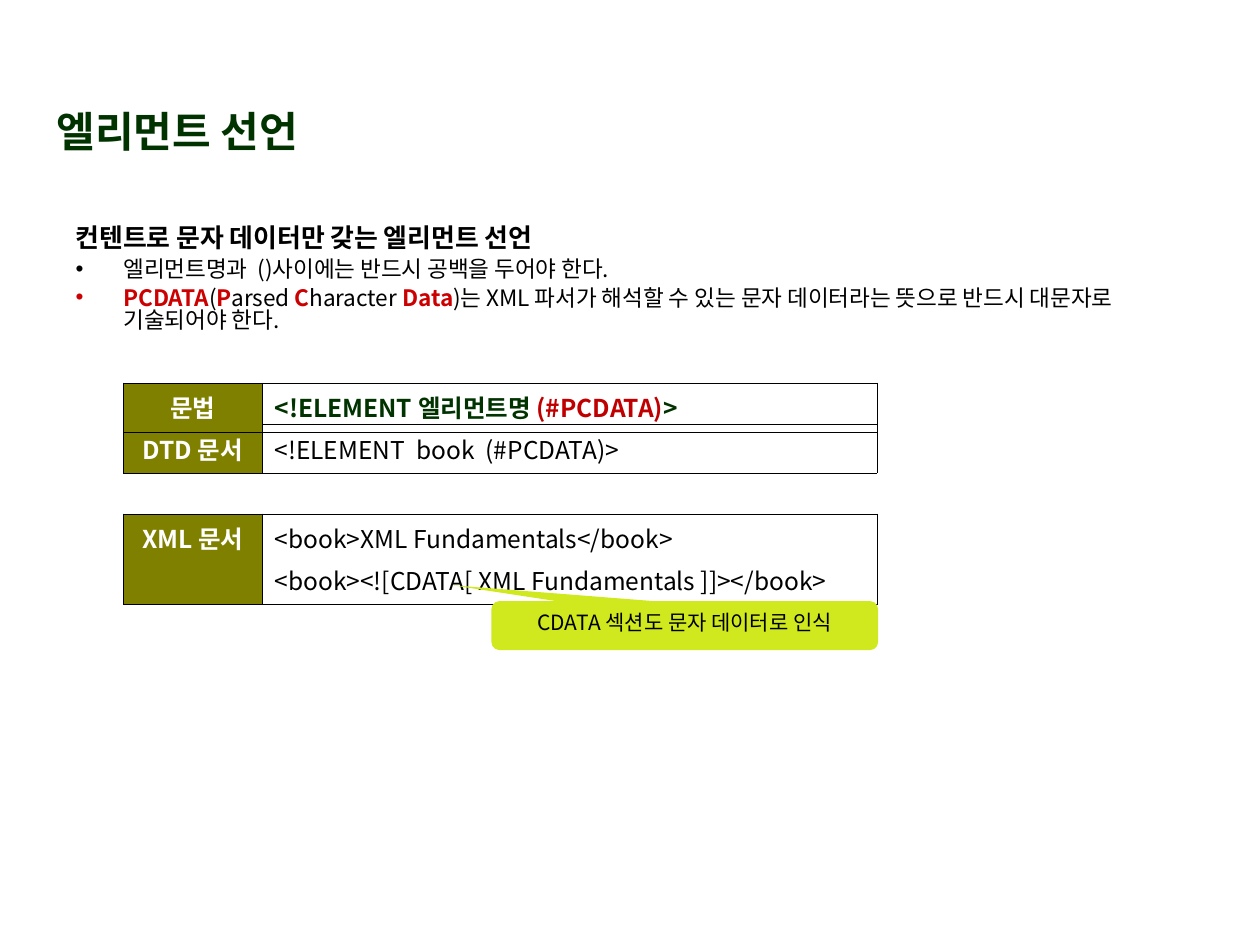
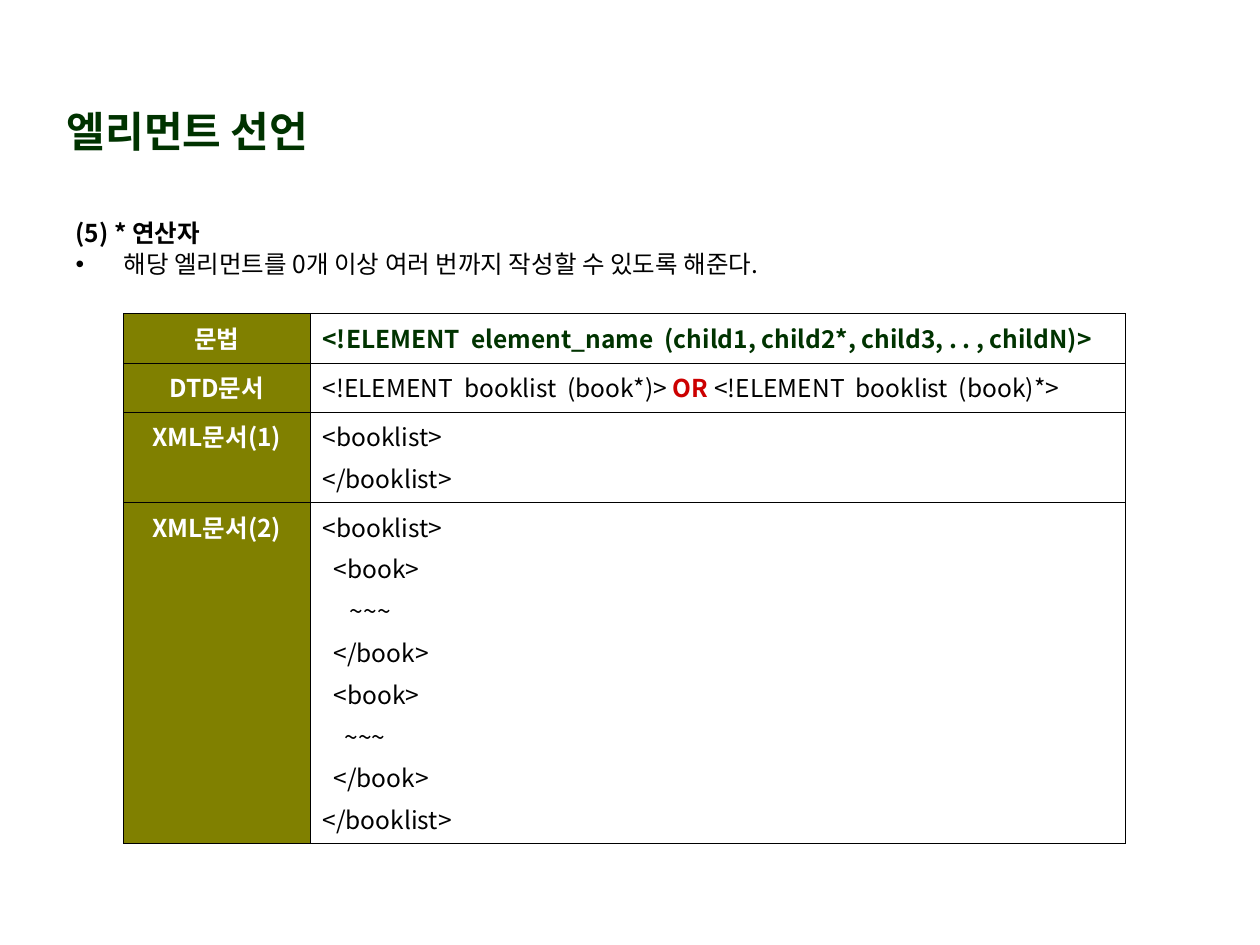
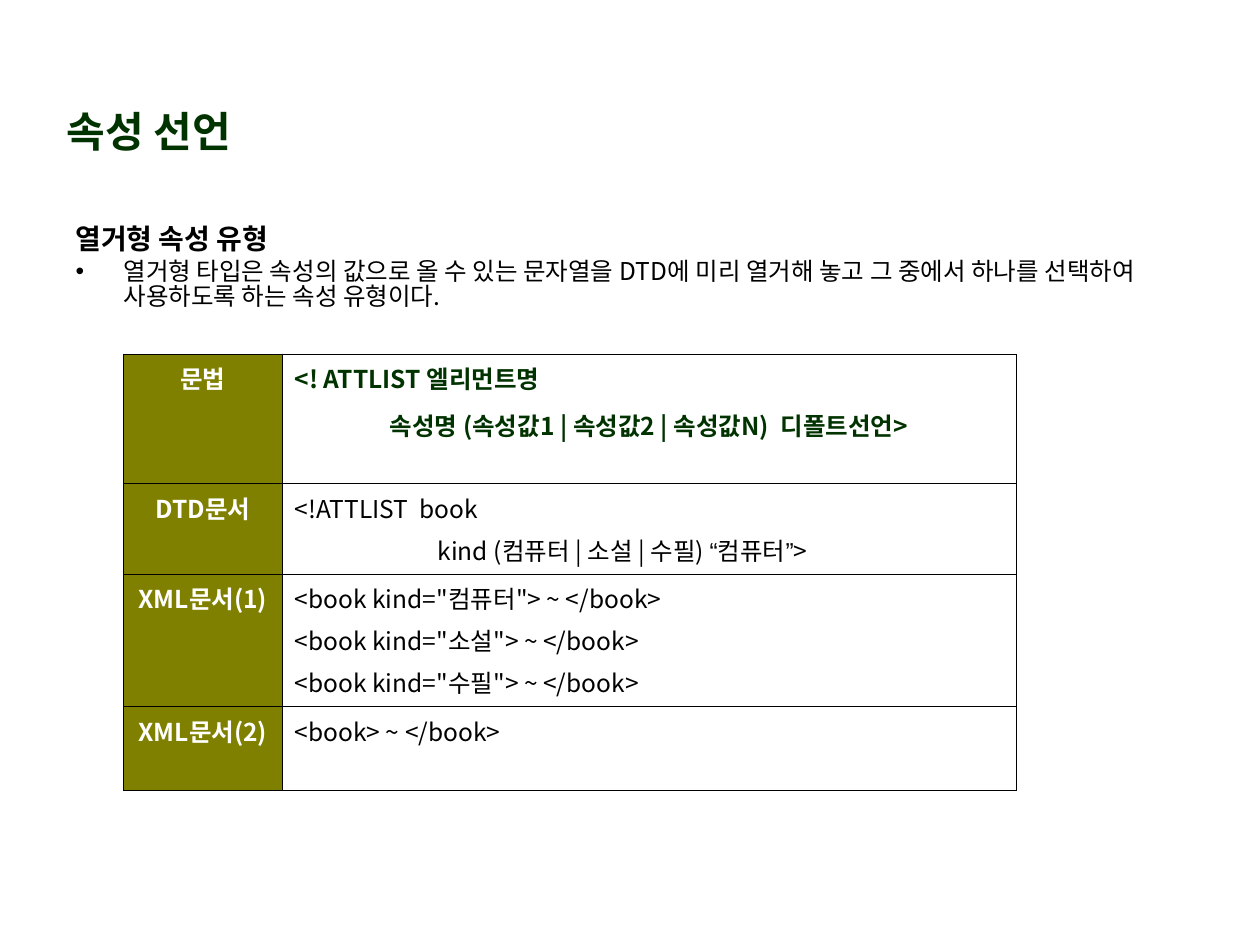
import pptx
import pptx.util
import pptx.dml.color
import pptx.enum.shapes
import pptx.enum.text
import pptx.oxml.ns
from lxml import etree

Inches = pptx.util.Inches
Pt = pptx.util.Pt
ALIGN = pptx.enum.text.PP_ALIGN
ANCHOR = pptx.enum.text.MSO_ANCHOR

FONT = "Noto Sans CJK KR"
GREEN, OLIVE, LIME = "003300", "808000", "D0E81E"
BLACK, WHITE, RED, DARK_RED = "000000", "FFFFFF", "CC0000", "C00000"

PLAIN = (BLACK, False, FONT)
QUOTE = (BLACK, False, "Arial")
HEADING = (BLACK, True, FONT)
KEYWORD = (RED, True, FONT)
GRAMMAR = (GREEN, True, FONT)
CONTENT_TYPE = (DARK_RED, True, FONT)
LABEL = (WHITE, True, FONT)

TABLE_LEFT = 0.98
BODY_LEFT, BODY_WIDTH = 0.5, 8.99
TEXT_SIZE = 14
LINE_GAP = 3.5
LINE_SPACING = 0.84
INDENT = 0.38

SLIDES = [
    {
        "title": "엘리먼트 선언",
        "title_left": 0.35,
        "body": {
            "top": 1.75, "height": 1.13, "heading_size": 14.8, "bullet_size": 12.9,
            "heading": "컨텐트로 문자 데이터만 갖는 엘리먼트 선언",
            "bullets": [
                [("엘리먼트명과  ()사이에는 반드시 공백을 두어야 한다.", PLAIN)],
                [("PCDATA", KEYWORD), ("(", PLAIN), ("P", KEYWORD), ("arsed ", PLAIN),
                 ("C", KEYWORD), ("haracter ", PLAIN), ("Data", KEYWORD),
                 (")는 XML 파서가 해석할 수 있는 문자 데이터라는 뜻으로 반드시 대문자로 기술되어야 한다.", PLAIN)],
            ],
        },
        "tables": [
            {"top": 3.37, "columns": (1.1, 4.88), "rows": [
                ("DTD 문서", 0.37, LINE_GAP, [[("<!ELEMENT  book  (#PCDATA)>", PLAIN)]]),
            ]},
            {"top": 4.08, "columns": (1.1, 4.88), "rows": [
                ("XML 문서", 0.68, LINE_GAP, [
                    [("<book>XML Fundamentals</book>", PLAIN)],
                    [("<book><![CDATA[ XML Fundamentals ]]></book>", PLAIN)],
                ]),
            ]},
            {"top": 3.04, "columns": (1.1, 4.88), "rows": [
                ("문법", 0.39, LINE_GAP, [
                    [("<!ELEMENT 엘리먼트명 ", GRAMMAR), ("(#PCDATA)", CONTENT_TYPE), (">", GRAMMAR)],
                ]),
            ]},
        ],
        "callout": "CDATA 섹션도 문자 데이터로 인식",
    },
    {
        "title": "엘리먼트 선언",
        "title_left": 0.43,
        "body": {
            "top": 1.72, "height": 0.63, "heading_size": 14, "bullet_size": 14,
            "heading": "(5) * 연산자",
            "bullets": [[("해당 엘리먼트를 0개 이상 여러 번까지 작성할 수 있도록 해준다.", PLAIN)]],
        },
        "tables": [
            {"top": 2.49, "columns": (1.48, 6.47), "rows": [
                ("문법", 0.39, LINE_GAP, [
                    [("<!ELEMENT  element_name  (child1, child2*, child3, . . , childN)>", GRAMMAR)],
                ]),
                ("DTD문서", 0.39, LINE_GAP, [
                    [("<!ELEMENT  booklist  (book*)> ", PLAIN), ("OR", KEYWORD),
                     (" <!ELEMENT  booklist  (book)*>", PLAIN)],
                ]),
                ("XML문서(1)", 0.7, LINE_GAP, [[("<booklist>", PLAIN)], [("</booklist>", PLAIN)]]),
                ("XML문서(2)", 2.56, LINE_GAP, [
                    [("<booklist>", PLAIN)],
                    [("  <book>", PLAIN)],
                    [("     ~~~", PLAIN)],
                    [("  </book>", PLAIN)],
                    [("  <book>", PLAIN)],
                    [("    ~~~", PLAIN)],
                    [("  </book>", PLAIN)],
                    [("</booklist>", PLAIN)],
                ]),
            ]},
        ],
    },
    {
        "title": "속성 선언",
        "title_left": 0.43,
        "body": {
            "top": 1.75, "height": 0.9, "heading_size": 16, "bullet_size": 14,
            "heading": "열거형 속성 유형",
            "bullets": [[("열거형 타입은 속성의 값으로 올 수 있는 문자열을 DTD에 미리 열거해 놓고 "
                          "그 중에서 하나를 선택하여 사용하도록 하는 속성 유형이다.", PLAIN)]],
        },
        "tables": [
            {"top": 2.81, "columns": (1.26, 5.83), "rows": [
                ("문법", 1.03, 6, [
                    [("<! ATTLIST 엘리먼트명", GRAMMAR)],
                    [("                 속성명 (속성값1 | 속성값2 | 속성값N)  디폴트선언>", GRAMMAR)],
                ]),
                ("DTD문서", 0.7, LINE_GAP, [
                    [("<!ATTLIST  book", PLAIN)],
                    [("                          kind (컴퓨터 | 소설 | 수필) ", PLAIN),
                     ("“", QUOTE), ("컴퓨터", PLAIN), ("”", QUOTE), (">", PLAIN)],
                ]),
                ("XML문서(1)", 1.05, LINE_GAP, [
                    [('<book kind="컴퓨터"> ~ </book>', PLAIN)],
                    [('<book kind="소설"> ~ </book>', PLAIN)],
                    [('<book kind="수필"> ~ </book>', PLAIN)],
                ]),
                ("XML문서(2)", 0.65, LINE_GAP, [[("<book> ~ </book>", PLAIN)]]),
            ]},
        ],
    },
]


def color(value):
    return pptx.dml.color.RGBColor.from_string(value)


def add_element(parent, tag, **attributes):
    return etree.SubElement(parent, pptx.oxml.ns.qn(tag), attributes)


def paint(fill, value):
    fill.solid()
    fill.fore_color.rgb = color(value)


def place(shape, left, top, width, height):
    shape.left, shape.top = Inches(left), Inches(top)
    shape.width, shape.height = Inches(width), Inches(height)


def write_runs(paragraph, runs, size):
    for text, (text_color, bold, name) in runs:
        run = paragraph.add_run()
        run.text = text
        run.font.size = Pt(size)
        run.font.bold = bold
        run.font.color.rgb = color(text_color)
        run.font.name = name
        add_element(run.font._element, "a:ea", typeface=name)


def write_paragraphs(text_frame, lines, size, gap=LINE_GAP, alignment=ALIGN.LEFT):
    for index, runs in enumerate(lines):
        paragraph = text_frame.add_paragraph() if index else text_frame.paragraphs[0]
        paragraph.alignment = alignment
        paragraph.space_before = Pt(gap if index else 0)
        write_runs(paragraph, runs, size)


def set_bullet(paragraph, bullet_color=None):
    properties = paragraph._p.get_or_add_pPr()
    properties.set("marL", str(Inches(INDENT)))
    properties.set("indent", str(-Inches(INDENT)))
    if bullet_color:
        add_element(add_element(properties, "a:buClr"), "a:srgbClr", val=bullet_color)
        add_element(properties, "a:buFont", typeface="Arial")
        add_element(properties, "a:buChar", char="•")
    else:
        add_element(properties, "a:buNone")


def fill_title(slide, text, left):
    title = slide.shapes.title
    place(title, left, 0.76, 4.41, 0.55)
    title.text_frame.auto_size = pptx.enum.text.MSO_AUTO_SIZE.NONE
    title.text_frame.vertical_anchor = ANCHOR.MIDDLE
    write_paragraphs(title.text_frame, [[(text, GRAMMAR)]], 24)


def fill_body(slide, body):
    placeholder = slide.placeholders[1]
    place(placeholder, BODY_LEFT, body["top"], BODY_WIDTH, body["height"])
    text_frame = placeholder.text_frame
    text_frame.auto_size = pptx.enum.text.MSO_AUTO_SIZE.NONE
    lines = [[(body["heading"], HEADING)]] + body["bullets"]
    for index, runs in enumerate(lines):
        paragraph = text_frame.add_paragraph() if index else text_frame.paragraphs[0]
        set_bullet(paragraph, runs[0][1][0] if index else None)
        paragraph.space_before = Pt(LINE_GAP if index else 0)
        paragraph.line_spacing = LINE_SPACING
        write_runs(paragraph, runs, body["bullet_size"] if index else body["heading_size"])


def set_borders(cell):
    properties = cell._tc.get_or_add_tcPr()
    for side in ("L", "R", "T", "B"):
        line = add_element(properties, "a:ln" + side, w=str(Pt(0.45)))
        add_element(add_element(line, "a:solidFill"), "a:srgbClr", val=BLACK)


def add_code_table(slide, content):
    columns, rows = content["columns"], content["rows"]
    height = sum(row[1] for row in rows)
    table = slide.shapes.add_table(
        len(rows), len(columns), Inches(TABLE_LEFT), Inches(content["top"]),
        Inches(sum(columns)), Inches(height)).table
    table.first_row = table.horz_banding = False
    for column, width in zip(table.columns, columns):
        column.width = Inches(width)
    for row, (label, row_height, gap, lines) in zip(table.rows, rows):
        row.height = Inches(row_height)
        label_cell, code_cell = row.cells
        for cell in row.cells:
            set_borders(cell)
        paint(label_cell.fill, OLIVE)
        code_cell.fill.background()
        write_paragraphs(label_cell.text_frame, [[(label, LABEL)]], TEXT_SIZE, alignment=ALIGN.CENTER)
        write_paragraphs(code_cell.text_frame, lines, TEXT_SIZE, gap)


def add_callout(slide, text):
    callout = slide.shapes.add_shape(
        pptx.enum.shapes.MSO_SHAPE.ROUNDED_RECTANGULAR_CALLOUT,
        Inches(3.9), Inches(4.77), Inches(3.07), Inches(0.39))
    for index, value in enumerate((-0.6, -0.82, 0.17)):
        callout.adjustments[index] = value
    callout.shadow.inherit = False
    paint(callout.fill, LIME)
    callout.line.fill.background()
    callout.text_frame.word_wrap = True
    callout.text_frame.vertical_anchor = ANCHOR.TOP
    write_paragraphs(callout.text_frame, [[(text, PLAIN)]], 12, alignment=ALIGN.CENTER)


def main():
    presentation = pptx.Presentation()
    presentation.slide_width, presentation.slide_height = Inches(10), Inches(7.5)
    for content in SLIDES:
        slide = presentation.slides.add_slide(presentation.slide_layouts[1])
        fill_title(slide, content["title"], content["title_left"])
        fill_body(slide, content["body"])
        for table in content["tables"]:
            add_code_table(slide, table)
        if "callout" in content:
            add_callout(slide, content["callout"])
    presentation.save("out.pptx")


if __name__ == "__main__":
    main()
